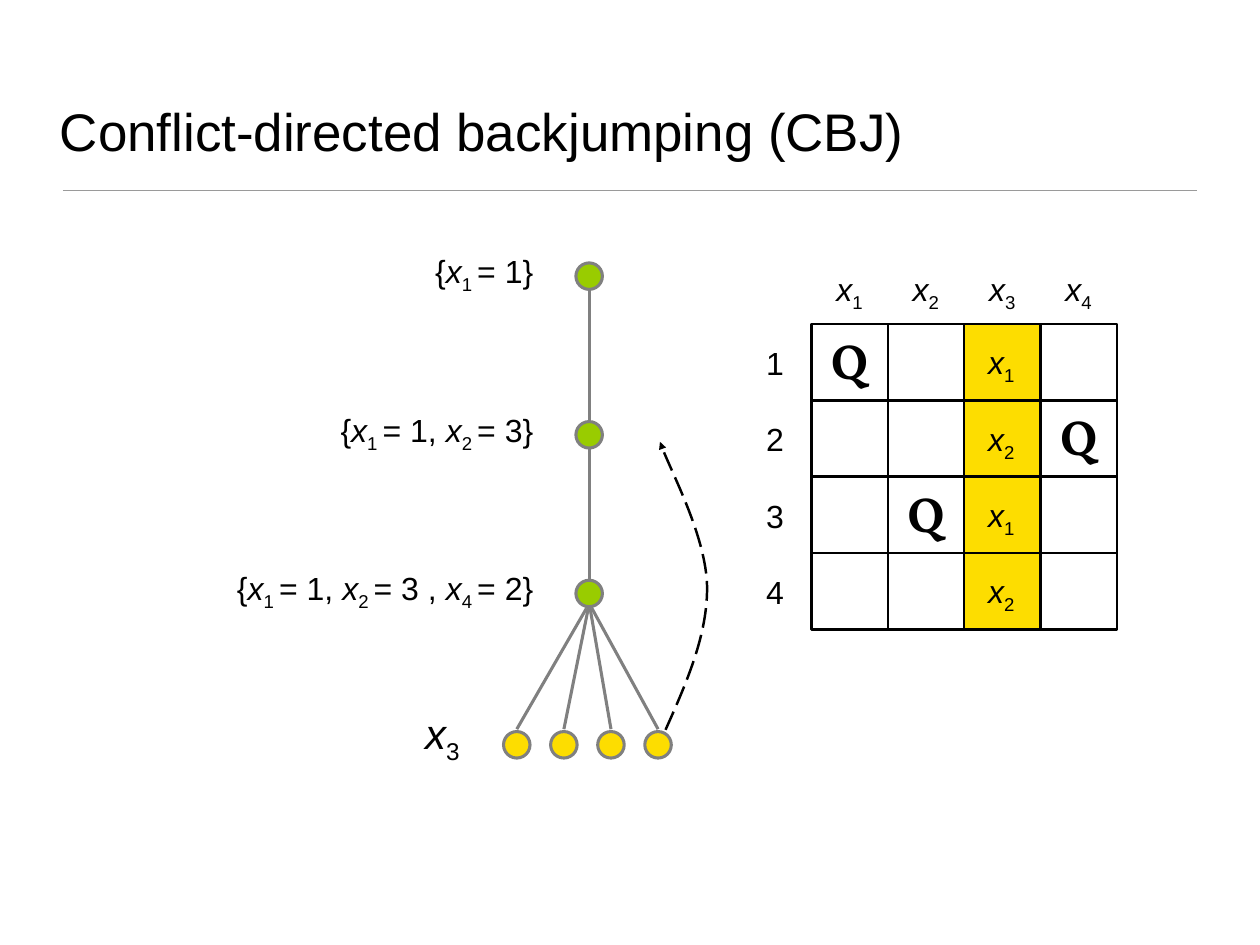
import collections

import lxml.etree
import pptx
import pptx.dml.color
import pptx.enum.dml
import pptx.enum.shapes
import pptx.enum.text
import pptx.oxml.ns
import pptx.util

Cm = pptx.util.Cm
Pt = pptx.util.Pt
RGBColor = pptx.dml.color.RGBColor
Align = pptx.enum.text.PP_ALIGN
Anchor = pptx.enum.text.MSO_ANCHOR
Preset = pptx.enum.shapes.MSO_SHAPE
qn = pptx.oxml.ns.qn

Box = collections.namedtuple("Box", "left top width height")

BLACK = RGBColor(0x00, 0x00, 0x00)
GRAY = RGBColor(0x80, 0x80, 0x80)
RULE_GRAY = RGBColor(0x9A, 0x9A, 0x9A)
GREEN = RGBColor(0x99, 0xCC, 0x00)
YELLOW = RGBColor(0xFD, 0xDD, 0x00)

ASSIGNMENTS = [
    [("1", "= 1}")],
    [("1", "= 1, "), ("2", "= 3}")],
    [("1", "= 1, "), ("2", "= 3 , "), ("4", "= 2}")],
]
QUEENS = [(0, 0), (2, 1), (1, 3)]
CONFLICTS = ["1", "2", "1", "2"]
CONFLICT_COLUMN = 2


def variable(index):
    return [("x", "italic"), (index, "subscript")]


def add_text(page, box, spans, size=26, font="Arial", align=Align.CENTER,
             anchor=Anchor.TOP, wrap=False, insets=(0.36, 0.18),
             line_spacing=None, grow=True):
    frame = page.shapes.add_textbox(*map(Cm, box)).text_frame
    frame.word_wrap = wrap
    fit = pptx.enum.text.MSO_AUTO_SIZE
    frame.auto_size = fit.SHAPE_TO_FIT_TEXT if grow else fit.NONE
    frame.vertical_anchor = anchor
    frame.margin_left = frame.margin_right = Cm(insets[0])
    frame.margin_top = frame.margin_bottom = Cm(insets[1])
    para = frame.paragraphs[0]
    para.alignment = align
    para.line_spacing = line_spacing
    for text, style in spans:
        span = para.add_run()
        span.text = text
        span.font.name = font
        span.font.size = Pt(size)
        span.font.color.rgb = BLACK
        span.font.italic = style == "italic"
        span.font.bold = style == "bold"
        if style == "subscript":
            span.font._element.set("baseline", "-25000")


def add_line(page, start, end, color, width):
    line = page.shapes.add_connector(
        pptx.enum.shapes.MSO_CONNECTOR.STRAIGHT, *map(Cm, start + end))
    line.line.color.rgb = color
    line.line.width = Pt(width)
    lxml.etree.SubElement(line._element.spPr, qn("a:effectLst"))


def add_preset(page, preset, box, fill=None, line=None, width=2):
    shape = page.shapes.add_shape(preset, *map(Cm, box))
    shape.shadow.inherit = False
    if fill is None:
        shape.fill.background()
    else:
        shape.fill.solid()
        shape.fill.fore_color.rgb = fill
    if line is None:
        shape.line.fill.background()
    else:
        shape.line.color.rgb = line
        shape.line.width = Pt(width)


def add_node(page, x, y, fill):
    radius = 0.38
    box = Box(x - radius, y - radius, 2 * radius, 2 * radius)
    add_preset(page, Preset.OVAL, box, fill, GRAY, 2.5)


def add_heading(page, box):
    add_text(page, box, [("Conflict-directed backjumping (CBJ)", "plain")],
             size=43, align=Align.LEFT, anchor=Anchor.BOTTOM, wrap=True,
             insets=(0.15, 0.15), grow=False)
    rule_y = box.top + box.height + 0.66
    add_line(page, (box.left + 0.23, rule_y),
             (box.left + box.width - 0.2, rule_y), RULE_GRAY, 0.75)


def add_search_tree(page, box):
    root_x = box.left + 15.24
    step = 4.55
    for level, assignment in enumerate(ASSIGNMENTS):
        y = box.top + 0.38 + level * step
        if level:
            add_line(page, (root_x, y - step + 0.41), (root_x, y - 0.36),
                     GRAY, 2.5)
        add_node(page, root_x, y, GREEN)
        spans = [("{", "plain")]
        for index, value in assignment:
            spans += variable(index + " ") + [(value, "plain")]
        add_text(page, Box(box.left, y - 1.22, 14, 1.85), spans,
                 align=Align.RIGHT, anchor=Anchor.MIDDLE, wrap=True,
                 line_spacing=1.35)

    leaf_y = box.top + box.height - 0.38
    for leaf in range(4):
        offset = leaf - 1.5
        leaf_x = root_x - 0.05 + 1.35 * offset
        add_line(page, (root_x + 0.05 * offset, y + 0.42),
                 (leaf_x, leaf_y - 0.45), GRAY, 2.5)
        add_node(page, leaf_x, leaf_y, YELLOW)
    add_text(page, Box(box.left + 10.14, leaf_y - 0.81, 1.78, 1.57),
             variable("3"), size=34, anchor=Anchor.MIDDLE,
             line_spacing=Pt(34.1))


def add_backjump(page, box):
    curve = [(0.16, 8.26), (0.77, 6.89), (1.37, 5.52), (1.35, 4.14),
             (1.32, 2.75), (0.23, 0.69), (0, 0)]
    points = [(Cm(box.left + x), Cm(box.top + y)) for x, y in curve]
    builder = page.shapes.build_freeform(*points[0])
    builder.add_line_segments(points[1:], close=False)
    arrow = builder.convert_to_shape()
    arrow.shadow.inherit = False
    arrow.fill.background()
    arrow.line.color.rgb = BLACK
    arrow.line.width = Pt(2)
    arrow.line.dash_style = pptx.enum.dml.MSO_LINE.LONG_DASH
    outline = next(arrow._element.iter(qn("a:path")))
    segments = outline.findall(qn("a:lnTo"))
    for first in range(0, len(segments), 3):
        bezier = lxml.etree.SubElement(outline, qn("a:cubicBezTo"))
        for segment in segments[first:first + 3]:
            bezier.append(segment[0])
            outline.remove(segment)
    lxml.etree.SubElement(arrow.line._get_or_add_ln(), qn("a:tailEnd"),
                          type="triangle")


def add_board(page, box):
    cell = box.width / 4
    right, bottom = box.left + box.width, box.top + box.height
    column_left = box.left + CONFLICT_COLUMN * cell
    for row in range(4):
        add_preset(page, Preset.RECTANGLE,
                   Box(column_left, box.top + row * cell, cell, cell), YELLOW)
    add_preset(page, Preset.RECTANGLE, box, line=BLACK)
    for step in range(1, 4):
        x, y = box.left + step * cell, box.top + step * cell
        add_line(page, (x, box.top), (x, bottom), BLACK, 2)
        add_line(page, (box.left, y), (right, y), BLACK, 2)
    for step, conflict in enumerate(CONFLICTS):
        x, y = box.left + step * cell, box.top + step * cell
        number = str(step + 1)
        add_text(page, Box(x + 0.33, box.top - 1.75, 1.52, 1.47),
                 variable(number))
        add_text(page, Box(box.left - 1.78, y + 0.38, 1.47, 1.47),
                 [(number, "plain")])
        add_text(page, Box(column_left + 0.3, y + 0.36, 1.52, 1.47),
                 variable(conflict))
    for row, column in QUEENS:
        add_text(page, Box(box.left + column * cell, box.top + row * cell,
                           cell, 2.06),
                 [("Q", "bold")], size=40, font="Vollkorn")


def main():
    deck = pptx.Presentation()
    deck.slide_width, deck.slide_height = Cm(36.12), Cm(27.1)
    page = deck.slides.add_slide(deck.slide_layouts[6])
    add_heading(page, Box(1.57, 0.91, 32.94, 3.89))
    add_search_tree(page, Box(1.65, 7.54, 17.57, 14.2))
    add_backjump(page, Box(18.92, 12.67, 1.37, 8.26))
    add_board(page, Box(23.26, 9.29, 8.76, 8.76))
    deck.save("out.pptx")


if __name__ == "__main__":
    main()
